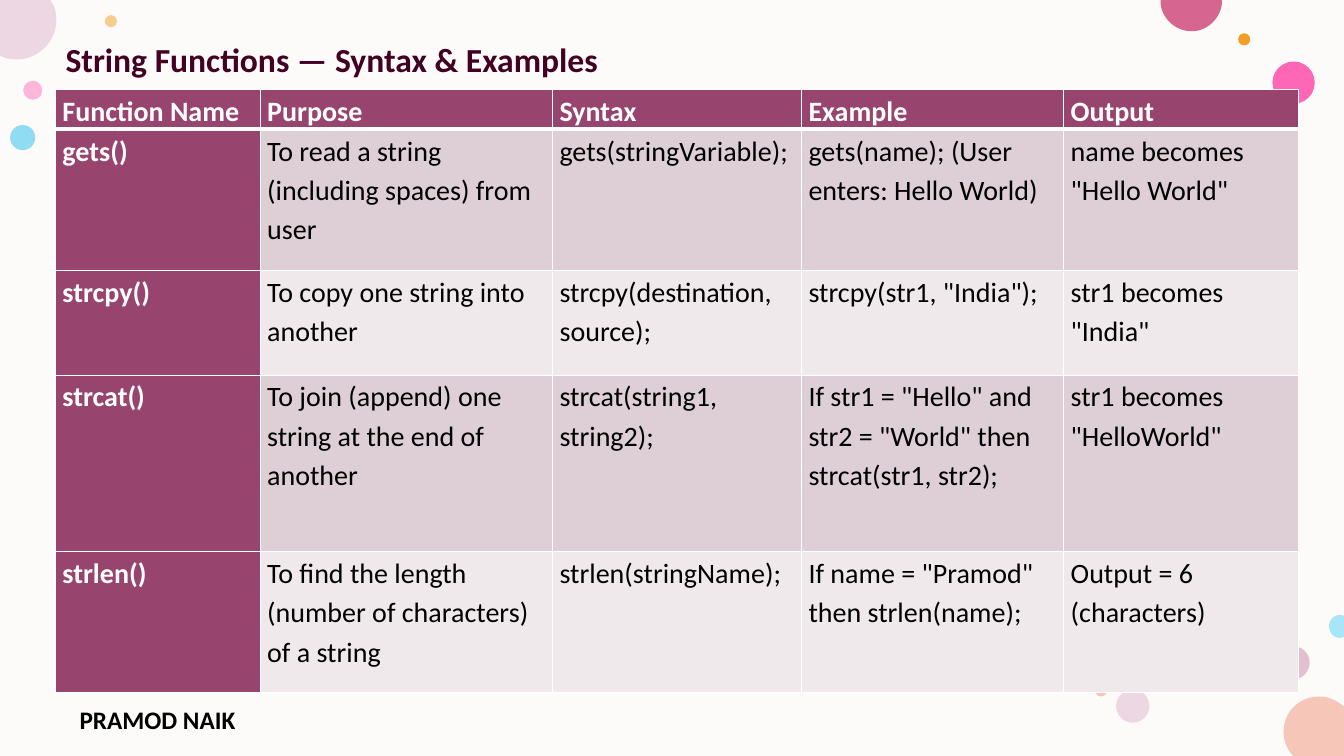
from lxml.etree import SubElement
from pptx import Presentation
from pptx.dml.color import RGBColor
from pptx.enum.shapes import MSO_SHAPE
from pptx.enum.text import MSO_ANCHOR, PP_ALIGN
from pptx.oxml.ns import qn
from pptx.util import Inches, Pt

WIDTH, HEIGHT = 13.33, 7.5
FONT = "Calibri"
COLORS = {
    "background": "FDFBF9", "title": "420023", "black": "000000", "white": "FFFFFF",
    "plum": "97446E", "band_dark": "DDCFD5", "band_light": "EFE9EB",
    "pink": "FF75BD", "orange": "F39E29", "mauve": "C987A8", "blue": "24BEEE",
    "hot_pink": "FF2F9C", "lilac": "EDD7E2", "peach": "F6C7B9", "rose": "D6658F",
    "sky": "A7E5F8",
}
DOTS = [
    (0.23, 0.8, 0.19, "pink", 50), (1.04, 0.15, 0.12, "orange", 50),
    (12.66, 6.41, 0.33, "mauve", 50), (0.1, 1.24, 0.25, "blue", 50),
    (12.62, 0.61, 0.42, "hot_pink", 72), (12.28, 0.33, 0.12, "orange", 100),
    (11.07, 6.84, 0.33, "lilac", 100), (10.86, 6.79, 0.12, "peach", 100),
]
EDGE_DOTS = [
    ("peach", (13.08, 6.91), [
        (13.18, 6.91, 13.26, 6.95, 13.33, 7.01), (13.33, 7.5), (12.83, 7.5), (12.81, 7.48),
        (12.76, 7.42, 12.73, 7.34, 12.73, 7.26), (12.73, 7.06, 12.89, 6.91, 13.08, 6.91)]),
    ("lilac", (0, 0), [
        (0.5, 0), (0.53, 0.05), (0.55, 0.09, 0.56, 0.14, 0.56, 0.2),
        (0.56, 0.41, 0.38, 0.59, 0.17, 0.59), (0.11, 0.59, 0.06, 0.58, 0.02, 0.56), (0, 0.55)]),
    ("rose", (11.52, 0), [
        (12.12, 0), (12.12, 0.01), (12.12, 0.17, 11.98, 0.31, 11.82, 0.31),
        (11.65, 0.31, 11.51, 0.17, 11.51, 0.01)]),
    ("sky", (13.29, 6.1), [
        (13.33, 6.11), (13.33, 6.32), (13.29, 6.33),
        (13.23, 6.33, 13.18, 6.28, 13.18, 6.21), (13.18, 6.15, 13.23, 6.1, 13.29, 6.1)]),
]
COLUMN_WIDTHS = [2.03, 2.9, 2.47, 2.6, 2.33]
ROW_HEIGHTS = [0.39, 1.4, 1.04, 1.75, 1.4]
ROWS = [
    ("Function Name", "Purpose", "Syntax", "Example", "Output"),
    ("gets()", "To read a string (including spaces) from user", "gets(stringVariable);",
     "gets(name); (User enters: Hello World)", 'name becomes "Hello World"'),
    ("strcpy()", "To copy one string into another", "strcpy(destination, source);",
     'strcpy(str1, "India");', 'str1 becomes "India"'),
    ("strcat()", "To join (append) one string at the end of another",
     "strcat(string1, string2);",
     'If str1 = "Hello" and str2 = "World" then strcat(str1, str2);',
     'str1 becomes "HelloWorld"'),
    ("strlen()", "To find the length (number of characters) of a string",
     "strlen(stringName);", 'If name = "Pramod" then strlen(name);',
     "Output = 6 (characters)"),
]


def color(name):
    """Return the named colour."""
    return RGBColor.from_string(COLORS[name])


def paint(shape, fill, opacity=100):
    """Give a shape a plain fill without line or shadow."""
    shape.shadow.inherit = False
    shape.line.fill.background()
    shape.fill.solid()
    shape.fill.fore_color.rgb = color(fill)
    if opacity < 100:
        rgb = shape.fill._xPr.find(qn("a:solidFill"))[0]
        SubElement(rgb, qn("a:alpha"), val=str(opacity * 1000))


def add_filled(slide, kind, left, top, width, height, fill, opacity=100):
    """Add a filled preset shape."""
    shape = slide.shapes.add_shape(
        kind, Inches(left), Inches(top), Inches(width), Inches(height))
    paint(shape, fill, opacity)


def add_edge_dot(slide, fill, start, segments):
    """Add a curved outline; six-number segments are Bézier curves."""
    builder = slide.shapes.build_freeform(Inches(start[0]), Inches(start[1]))
    for segment in segments:
        points = zip(segment[::2], segment[1::2])
        builder.add_line_segments([(Inches(x), Inches(y)) for x, y in points], close=False)
    shape = builder.convert_to_shape()
    outline = next(shape._element.iter(qn("a:path")))
    lines = iter(outline.findall(qn("a:lnTo")))
    for segment in segments:
        if len(segment) == 6:
            curve = SubElement(outline, qn("a:cubicBezTo"))
            for _ in range(3):
                line = next(lines)
                curve.append(line[0])
                outline.remove(line)
        else:
            outline.append(next(lines))
    SubElement(outline, qn("a:close"))
    paint(shape, fill)


def set_text(text_frame, text, size, font_color, bold=True):
    """Write one formatted paragraph and return it."""
    text_frame.text = text
    text_frame.word_wrap = True
    paragraph = text_frame.paragraphs[0]
    font = paragraph.runs[0].font
    font.name, font.size, font.bold = FONT, Pt(size), bold
    font.color.rgb = color(font_color)
    return paragraph


def add_title(slide, text):
    """Place and format the title placeholder in front of the background."""
    title = slide.shapes.title
    slide.shapes._spTree.append(title._element)
    title.left, title.top = Inches(0.55), Inches(0.38)
    title.width, title.height = Inches(11.95), Inches(6.23)
    title.text_frame.vertical_anchor = MSO_ANCHOR.TOP
    paragraph = set_text(title.text_frame, text, 24, "title")
    paragraph.alignment = PP_ALIGN.LEFT
    paragraph.line_spacing = 0.9
    paragraph.space_before = Pt(10)


def add_author(slide, text):
    """Add the author line at the bottom."""
    box = slide.shapes.add_textbox(Inches(0.69), Inches(6.94), Inches(2.45), Inches(0.32))
    set_text(box.text_frame, text, 18, "black")


def add_borders(cell, widths):
    """Draw white borders of the given point widths by side."""
    properties = cell._tc.get_or_add_tcPr()
    for side, width in widths.items():
        line = SubElement(properties, qn(f"a:ln{side}"), w=str(Pt(width)))
        fill = SubElement(line, qn("a:solidFill"))
        SubElement(fill, qn("a:srgbClr"), val=COLORS["white"])


def fill_cell(cell, text, row, column):
    """Write and format one table cell."""
    heading = row == 0 or column == 0
    paragraph = set_text(cell.text_frame, text, 20, "white" if heading else "black", heading)
    paragraph.line_spacing = 1.15
    paragraph.space_after = Pt(8)
    cell.margin_left = cell.margin_right = Inches(0.07)
    cell.margin_top = cell.margin_bottom = 0
    add_borders(cell, {"L": 1, "R": 1, "T": 3 if row == 1 else 1, "B": 3 if row == 0 else 1})
    cell.fill.solid()
    band = "band_dark" if row % 2 else "band_light"
    cell.fill.fore_color.rgb = color("plum" if heading else band)


def add_function_table(slide):
    """Add the table of string functions."""
    table = slide.shapes.add_table(
        len(ROWS), len(COLUMN_WIDTHS), Inches(0.55), Inches(0.89),
        Inches(sum(COLUMN_WIDTHS)), Inches(sum(ROW_HEIGHTS))).table
    table.first_col = True
    for column, width in zip(table.columns, COLUMN_WIDTHS):
        column.width = Inches(width)
    for row, height in zip(table.rows, ROW_HEIGHTS):
        row.height = Inches(height)
    for row, texts in enumerate(ROWS):
        for column, text in enumerate(texts):
            fill_cell(table.cell(row, column), text, row, column)


def main():
    """Build and save the presentation."""
    presentation = Presentation()
    presentation.slide_width, presentation.slide_height = Inches(WIDTH), Inches(HEIGHT)
    slide = presentation.slides.add_slide(presentation.slide_layouts[5])
    add_filled(slide, MSO_SHAPE.RECTANGLE, 0, 0, WIDTH, HEIGHT, "background")
    for left, top, size, fill, opacity in DOTS:
        add_filled(slide, MSO_SHAPE.OVAL, left, top, size, size, fill, opacity)
    for fill, start, segments in EDGE_DOTS:
        add_edge_dot(slide, fill, start, segments)
    add_author(slide, "PRAMOD NAIK")
    add_title(slide, "String Functions — Syntax & Examples")
    add_function_table(slide)
    presentation.save("out.pptx")


if __name__ == "__main__":
    main()
